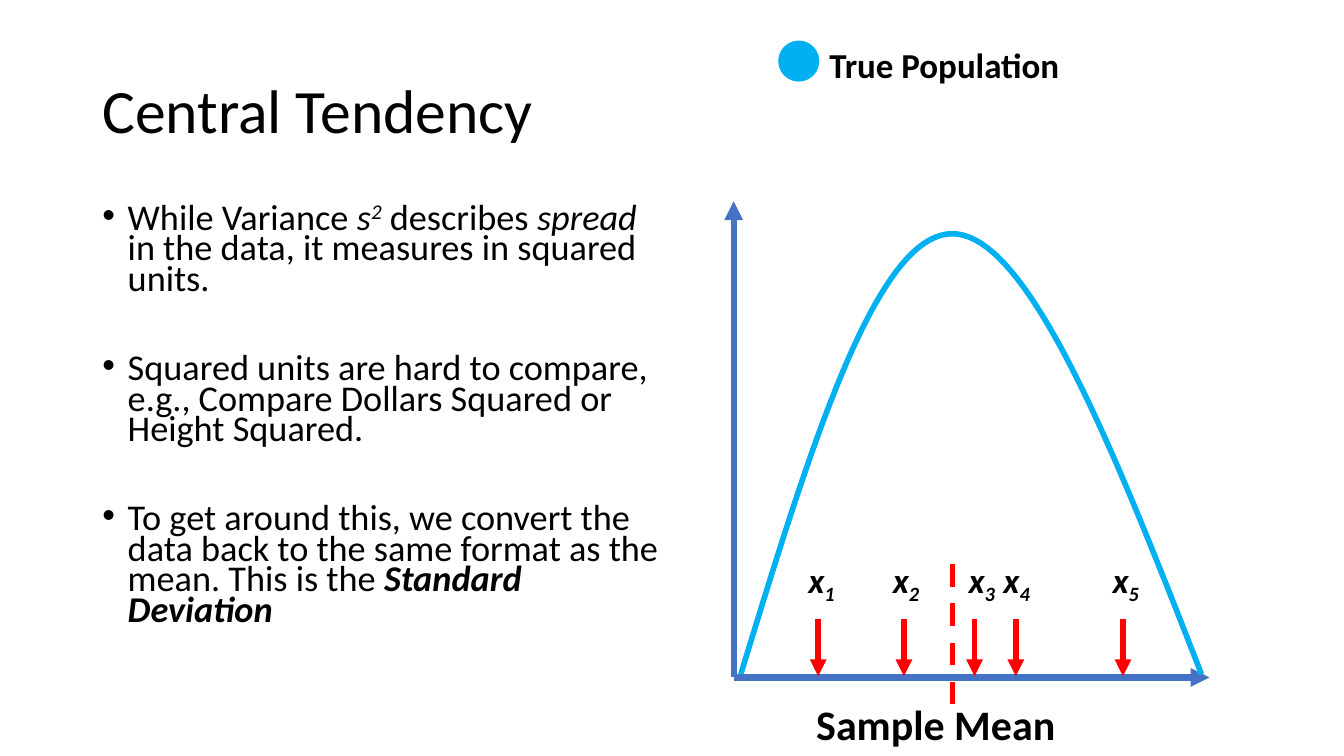
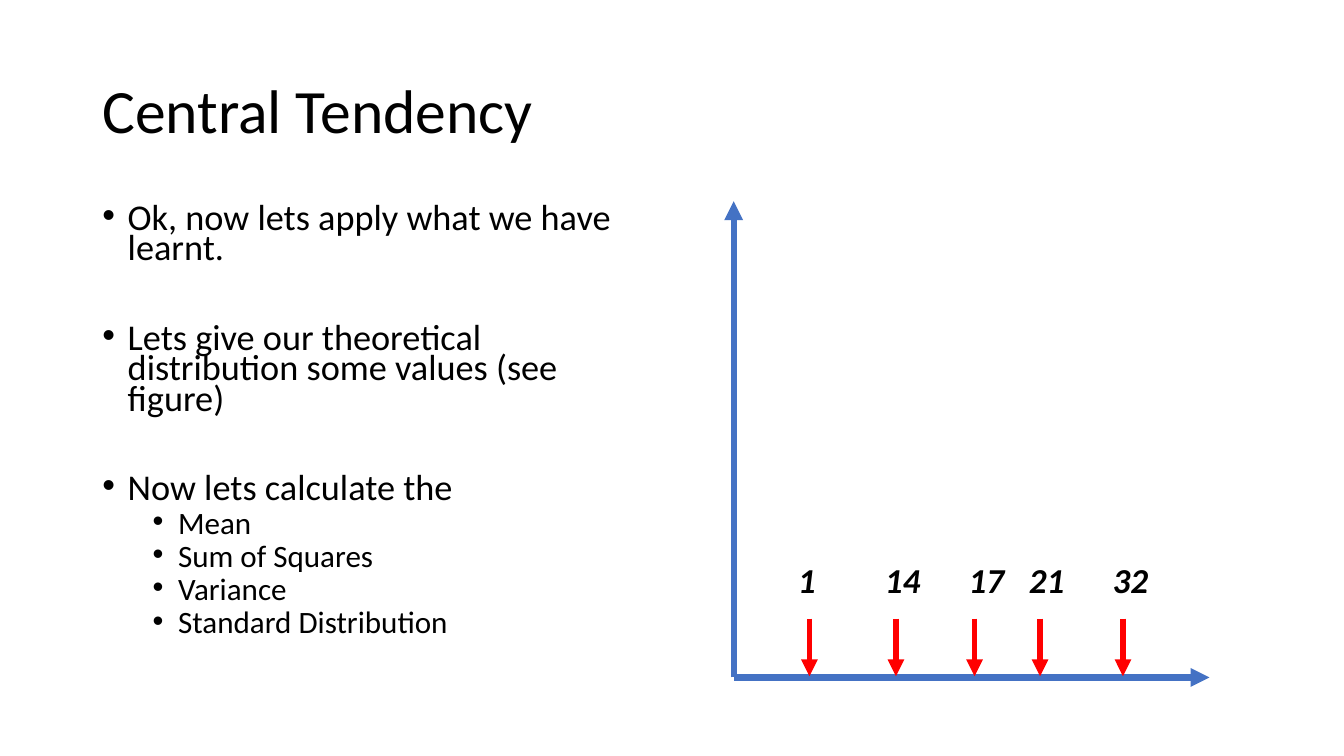
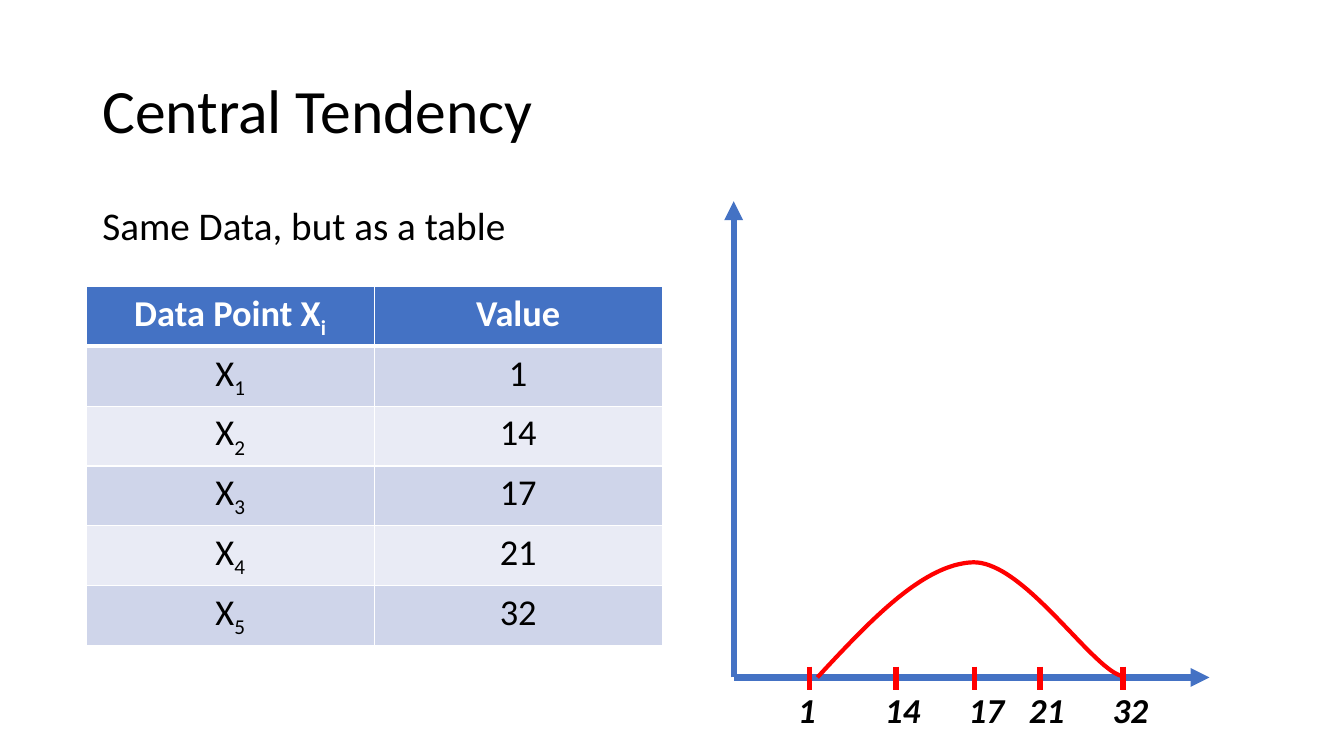
"""Build three slides on central tendency: spread, sample values and their table."""
from lxml import etree
from pptx import Presentation
from pptx.dml.color import RGBColor
from pptx.enum.dml import MSO_LINE
from pptx.enum.shapes import MSO_CONNECTOR, MSO_SHAPE
from pptx.enum.text import MSO_ANCHOR, PP_ALIGN
from pptx.oxml.ns import qn
from pptx.util import Cm, Pt

BLACK = RGBColor(0x00, 0x00, 0x00)
WHITE = RGBColor(0xFF, 0xFF, 0xFF)
BLUE = RGBColor(0x44, 0x72, 0xC4)
SKY = RGBColor(0x00, 0xB0, 0xF0)
RED = RGBColor(0xFF, 0x00, 0x00)
BAND_DARK = RGBColor(0xCF, 0xD5, 0xEA)
BAND_LIGHT = RGBColor(0xE9, 0xEB, 0xF5)
FONT = "Calibri"
BASELINES = {"^": "30000", "_": "-25000"}
LEFT, BODY_TOP = 2.33, 5.07
ORIGIN = (18.49, 17.07)


def write(paragraph, pieces, size, style="", colour=BLACK):
    """Add (text, style) pieces; styles are b bold, i italic, ^ super, _ sub."""
    for text, extra in pieces:
        run = paragraph.add_run()
        run.text = text
        run.font.name, run.font.size = FONT, Pt(size)
        run.font.color.rgb = colour
        run.font.bold = "b" in style + extra
        run.font.italic = "i" in style + extra
        for mark, baseline in BASELINES.items():
            if mark in extra:
                run.font._element.set("baseline", baseline)


def add_line(slide, start, end, colour, width, arrow=False):
    """Draw a straight line in centimetres, with an optional arrowhead at its end."""
    line = slide.shapes.add_connector(
        MSO_CONNECTOR.STRAIGHT, *[Cm(value) for value in (*start, *end)])
    line.line.color.rgb = colour
    line.line.width = Pt(width)
    properties = line._element.spPr
    if arrow:
        etree.SubElement(properties.find(qn("a:ln")), qn("a:tailEnd"), type="triangle")
    etree.SubElement(properties, qn("a:effectLst"))
    return line


presentation = Presentation()
presentation.slide_width, presentation.slide_height = Cm(33.87), Cm(19.05)
slides = [presentation.slides.add_slide(presentation.slide_layouts[6]) for _ in range(3)]
spread_slide, values_slide, table_slide = slides

for slide in slides:
    title = slide.shapes.add_textbox(Cm(LEFT), Cm(1.01), Cm(29.21), Cm(3.68)).text_frame
    title.word_wrap = True
    title.vertical_anchor = MSO_ANCHOR.MIDDLE
    title.paragraphs[0].line_spacing = 0.9
    write(title.paragraphs[0], [("Central Tendency", "")], 44)
    for axis_end in ((ORIGIN[0], BODY_TOP), (30.48, ORIGIN[1])):
        add_line(slide, ORIGIN, axis_end, BLUE, 4.5, arrow=True)

bodies = [
    (spread_slide, [
        (0, [("While Variance ", ""), ("s", "i"), ("2", "i^"), (" describes ", ""),
             ("spread ", "i"), ("in the data, it measures in squared units.", "")]),
        (0, [("Squared units are hard to compare, e.g., Compare Dollars Squared or "
              "Height Squared.", "")]),
        (0, [("To get around this, we convert the data back to the same format as the "
              "mean. This is the ", ""), ("Standard Deviation", "bi")]),
    ]),
    (values_slide, [
        (0, [("Ok, now lets apply what we have learnt.", "")]),
        (0, [("Lets give our theoretical distribution some values (see figure)", "")]),
        (0, [("Now lets calculate the", "")]),
        (1, [("Mean", "")]),
        (1, [("Sum of Squares", "")]),
        (1, [("Variance", "")]),
        (1, [("Standard Distribution", "")]),
    ]),
]
for slide, items in bodies:
    body = slide.shapes.add_textbox(Cm(LEFT), Cm(BODY_TOP), Cm(14.52), Cm(12.09)).text_frame
    body.word_wrap = True
    for index, (level, pieces) in enumerate(items):
        paragraph = body.add_paragraph() if index else body.paragraphs[0]
        paragraph.level = level
        paragraph.line_spacing = 0.7
        paragraph.space_before = Pt(5 if level else 42 if index else 10)
        properties = paragraph._p.get_or_add_pPr()
        properties.set("marL", str(Cm(0.64 + 1.27 * level)))
        properties.set("indent", str(-Cm(0.64)))
        etree.SubElement(properties, qn("a:buFont"), typeface="Arial")
        etree.SubElement(properties, qn("a:buChar"), char="•")
        write(paragraph, pieces, 22.2 if level else 25.9)

captions = [
    (spread_slide, (20.65, 0.97, 7, 1.32), "True Population", 25, "b"),
    (spread_slide, (20.32, 17.47, 7.34, 1.5), "Sample Mean", 30, "b"),
    (table_slide, (LEFT, BODY_TOP, 14.52, 1.6), "Same Data, but as a table", 28, ""),
]
for slide, box, text, size, style in captions:
    caption = slide.shapes.add_textbox(*[Cm(value) for value in box]).text_frame
    caption.word_wrap = True
    if slide is table_slide:
        caption.paragraphs[0].line_spacing = 0.9
        caption.paragraphs[0].space_before = Pt(10)
    write(caption.paragraphs[0], [(text, "")], size, style)

legend_dot = spread_slide.shapes.add_shape(MSO_SHAPE.OVAL, Cm(19.63), Cm(1.04), Cm(1), Cm(1))
legend_dot.shadow.inherit = False
legend_dot.fill.solid()
legend_dot.fill.fore_color.rgb = SKY
legend_dot.line.color.rgb = SKY
legend_dot.line.width = Pt(1)

curves = [
    (spread_slide, SKY, 4, [(18.67, 16.99), (20.37, 11.45), (22.05, 5.89), (24, 5.89),
                            (25.93, 5.89), (28.12, 11.45), (30.28, 16.99)]),
    (table_slide, RED, 3, [(20.6, 17.07), (21.92, 15.65), (23.27, 14.2), (24.54, 14.17),
                           (25.83, 14.17), (27.56, 16.92), (28.3, 17.04)]),
]
STEPS = 40
for slide, colour, width, knots in curves:
    points = []
    for first in (0, 3):
        for step in range(1, STEPS + 1):
            t = step / STEPS
            weights = ((1 - t) ** 3, 3 * t * (1 - t) ** 2, 3 * t ** 2 * (1 - t), t ** 3)
            points.append([
                Cm(sum(weight * knot[axis] for weight, knot in zip(weights, knots[first:])))
                for axis in (0, 1)])
    builder = slide.shapes.build_freeform(Cm(knots[0][0]), Cm(knots[0][1]))
    builder.add_line_segments(points, close=False)
    curve = builder.convert_to_shape()
    curve.shadow.inherit = False
    curve.fill.background()
    curve.line.color.rgb = colour
    curve.line.width = Pt(width)

values = ["1", "14", "17", "21", "32"]
symbol_labels = [[("x", ""), (str(number), "_")] for number in range(1, 6)]
value_labels = [[(value, "")] for value in values]
symbol_marks = [(20.62, 20.12), (22.78, 22.25), (24.56, 24.16), (25.6, 25.04), (28.3, 27.79)]
value_marks = [(20.4, 19.86), (22.58, 22.05), (24.56, 24.16), (26.21, 25.68), (28.3, 27.79)]
mark_rows = [
    (spread_slide, symbol_labels, symbol_marks, 15.59, 17.04, True, 13.94),
    (values_slide, value_labels, value_marks, 15.59, 17.04, True, 13.94),
    (table_slide, value_labels, value_marks, 16.8, 17.4, False, 17.23),
]
for slide, labels, marks, top, bottom, arrow, label_top in mark_rows:
    for pieces, (mark_x, label_x) in zip(labels, marks):
        add_line(slide, (mark_x, top), (mark_x, bottom), RED, 4, arrow)
        label_width = 1.22 if len(pieces) > 1 else 0.51 + 0.46 * len(pieces[0][0])
        label = slide.shapes.add_textbox(
            Cm(label_x), Cm(label_top), Cm(label_width), Cm(1.32)).text_frame
        label.word_wrap = False
        write(label.paragraphs[0], pieces, 25, "bi")

mean_line = add_line(spread_slide, (24, 14.22), (24, 18.08), RED, 4)
mean_line.line.dash_style = MSO_LINE.DASH

rows = [([("Data Point X", ""), ("i", "_")], [("Value", "")])]
rows += [([("X", ""), (str(number), "_")], [(value, "")])
         for number, value in enumerate(values, 1)]
table = table_slide.shapes.add_table(
    len(rows), 2, Cm(2.17), Cm(7.22), Cm(14.52), Cm(1.5 * len(rows))).table
for row_index, row in enumerate(rows):
    header = row_index == 0
    for column_index, pieces in enumerate(row):
        cell = table.cell(row_index, column_index)
        properties = cell._tc.get_or_add_tcPr()
        for side in ("L", "R", "T", "B"):
            thick = (header and side == "B") or (row_index == 1 and side == "T")
            border = etree.SubElement(
                properties, qn("a:ln" + side), w=str(Pt(3 if thick else 1)))
            fill = etree.SubElement(border, qn("a:solidFill"))
            etree.SubElement(fill, qn("a:srgbClr"), val=str(WHITE))
        cell.fill.solid()
        cell.fill.fore_color.rgb = BLUE if header else BAND_DARK if row_index % 2 else BAND_LIGHT
        paragraph = cell.text_frame.paragraphs[0]
        paragraph.alignment = PP_ALIGN.CENTER
        write(paragraph, pieces, 26, "b" if header else "", WHITE if header else BLACK)

presentation.save("out.pptx")
